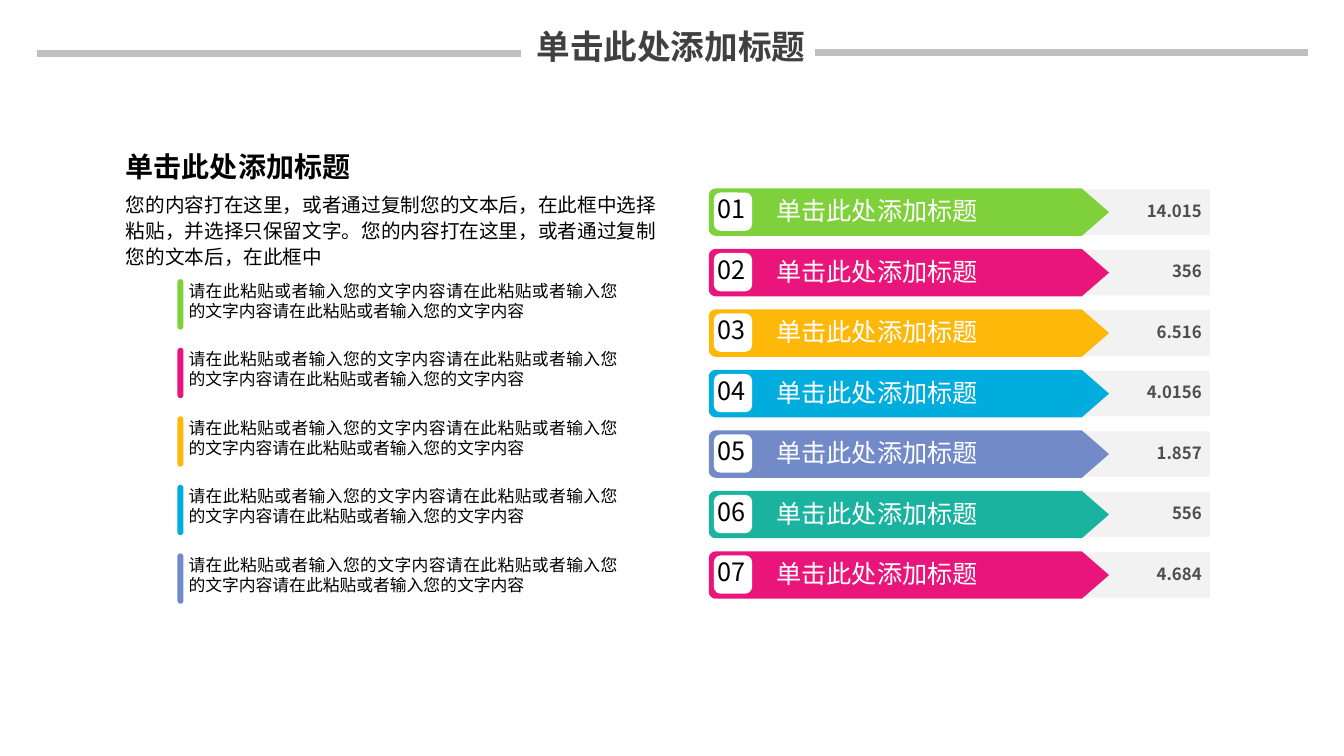
"""Build a slide with five described points and seven numbered arrow rows."""
import math

from lxml import etree
from pptx import Presentation
from pptx.dml.color import RGBColor
from pptx.enum import shapes, text
from pptx.oxml import ns
from pptx.util import Inches, Pt

FONT = "Noto Sans CJK SC"
HEADING = "单击此处添加标题"
INTRO = ("您的内容打在这里，或者通过复制您的文本后，在此框中选择粘贴，并选择只保留文字。"
         "您的内容打在这里，或者通过复制您的文本后，在此框中")
POINT = "请在此粘贴或者输入您的文字内容" * 3
POINT_COLORS = ["7FD13B", "EA157A", "FEB80A", "00ADDC", "738AC8"]
ROWS = [
    ("14.015", "7FD13B"),
    ("356", "EA157A"),
    ("6.516", "FEB80A"),
    ("4.0156", "00ADDC"),
    ("1.857", "738AC8"),
    ("556", "1AB39F"),
    ("4.684", "EA157A"),
]
RULES = [(8.08, 12.97, 0.52), (0.37, 5.17, 0.53)]
POINT_TOP, POINT_PITCH = 2.72, 0.68
ROW_TOP, ROW_PITCH = 1.87, 0.6
ARROW_LEFT, ARROW_SHOULDER, ARROW_TIP = 7.03, 10.73, 11.0
ARROW_HEIGHT, ARROW_RADIUS = 0.47, 0.07
ALIGN = text.PP_ALIGN


def color(value):
    return RGBColor.from_string(value)


def write(shape, content, size, tint="000000", bold=False, align=ALIGN.LEFT,
          insets=(0, 0), wrap=True, spacing=None):
    frame = shape.text_frame
    frame.auto_size = text.MSO_AUTO_SIZE.NONE
    frame.word_wrap = wrap
    frame.vertical_anchor = text.MSO_ANCHOR.TOP
    frame.margin_left = frame.margin_right = Inches(insets[0])
    frame.margin_top = frame.margin_bottom = Inches(insets[1])
    paragraph = frame.paragraphs[0]
    paragraph.alignment = align
    if spacing:
        paragraph.line_spacing = spacing
    run = paragraph.add_run()
    run.text = content
    run.font.size = Pt(size)
    run.font.bold = bold
    run.font.color.rgb = color(tint)
    run.font.name = FONT
    properties = run.font._element if hasattr(run.font, "_element") else run._r.get_or_add_rPr()
    etree.SubElement(properties, ns.qn("a:ea"), typeface=FONT)


def add_text(slide, box, content, size, **style):
    write(slide.shapes.add_textbox(*map(Inches, box)), content, size, **style)


def paint(shape, fill):
    shape.shadow.inherit = False
    shape.fill.solid()
    shape.fill.fore_color.rgb = color(fill)
    shape.line.fill.background()


def add_block(slide, kind, box, fill, adjustments=()):
    shape = slide.shapes.add_shape(kind, *map(Inches, box))
    for index, value in enumerate(adjustments):
        shape.adjustments[index] = value
    paint(shape, fill)


def add_rule(slide, left, right, y):
    rule = slide.shapes.add_connector(shapes.MSO_CONNECTOR.STRAIGHT,
                                      *map(Inches, (left, y, right, y)))
    rule.line.color.rgb = color("BFBFBF")
    rule.line.width = Pt(4.5)
    etree.SubElement(rule._element.spPr, ns.qn("a:effectLst"))


def corner(center_y, start):
    angles = [math.radians(start + step * 15) for step in range(7)]
    return [(ARROW_LEFT + ARROW_RADIUS * (1 + math.cos(angle)),
             center_y + ARROW_RADIUS * math.sin(angle)) for angle in angles]


def add_arrow(slide, top, fill):
    bottom = top + ARROW_HEIGHT
    points = [(ARROW_SHOULDER, top), (ARROW_TIP, top + ARROW_HEIGHT / 2),
              (ARROW_SHOULDER, bottom)]
    points += corner(bottom - ARROW_RADIUS, 90) + corner(top + ARROW_RADIUS, 180)
    outline = [(Inches(x), Inches(y)) for x, y in points]
    builder = slide.shapes.build_freeform(*outline[0])
    builder.add_line_segments(outline[1:], close=True)
    paint(builder.convert_to_shape(), fill)


def add_row(slide, index, value, fill):
    top = ROW_TOP + index * ROW_PITCH
    add_block(slide, shapes.MSO_SHAPE.RECTANGLE, (9.11, top + 0.01, 2.89, 0.45), "F2F2F2")
    add_arrow(slide, top, fill)
    add_block(slide, shapes.MSO_SHAPE.ROUNDED_RECTANGLE, (7.08, top + 0.04, 0.38, 0.38),
              "FFFFFF", [0.18])
    add_text(slide, (7.7, top + 0.07, 2.25, 0.37), HEADING, 18, tint="FFFFFF")
    add_text(slide, (11.36, top + 0.12, 0.56, 0.21), value, 12, tint="4E4E4E",
             bold=True, align=ALIGN.RIGHT)
    add_text(slide, (7.12, top + 0.05, 0.29, 0.32), f"{index + 1:02d}", 18)


def add_point(slide, index, fill):
    top = POINT_TOP + index * POINT_PITCH
    add_text(slide, (1.75, top, 4.5, 0.52), POINT, 12, align=ALIGN.JUSTIFY,
             insets=(0.12, 0.06))
    add_block(slide, shapes.MSO_SHAPE.ROUND_2_SAME_RECTANGLE, (1.76, top + 0.05, 0.06, 0.5),
              fill, [0.5, 0.5])


def main():
    presentation = Presentation()
    presentation.slide_width, presentation.slide_height = Inches(13.33), Inches(7.5)
    slide = presentation.slides.add_slide(presentation.slide_layouts[5])
    title = slide.shapes.title
    title.left, title.top, title.width, title.height = map(Inches, (5.22, 0.21, 2.87, 0.53))
    write(title, HEADING, 24, tint="404040", bold=True, align=ALIGN.CENTER,
          insets=(0.1, 0.05), wrap=False)
    for rule in RULES:
        add_rule(slide, *rule)
    for index, (value, fill) in enumerate(ROWS):
        add_row(slide, index, value, fill)
    for index, fill in enumerate(POINT_COLORS):
        add_point(slide, index, fill)
    add_text(slide, (1.15, 1.43, 2.43, 0.43), HEADING, 20, bold=True,
             insets=(0.1, 0.05), wrap=False)
    add_text(slide, (1.15, 1.84, 5.6, 0.87), INTRO, 14, insets=(0.1, 0.05), spacing=1.1)
    presentation.save("out.pptx")


if __name__ == "__main__":
    main()
